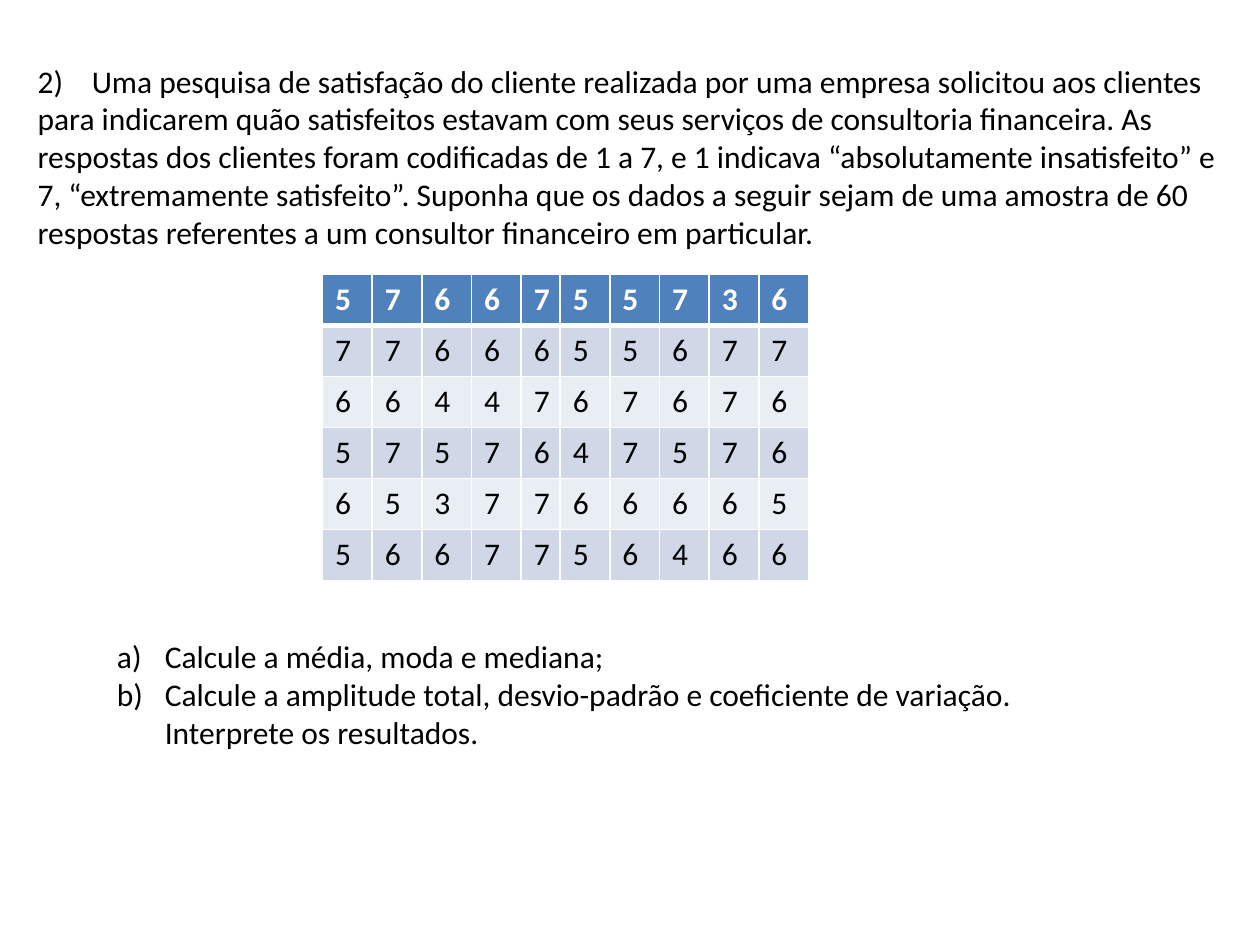
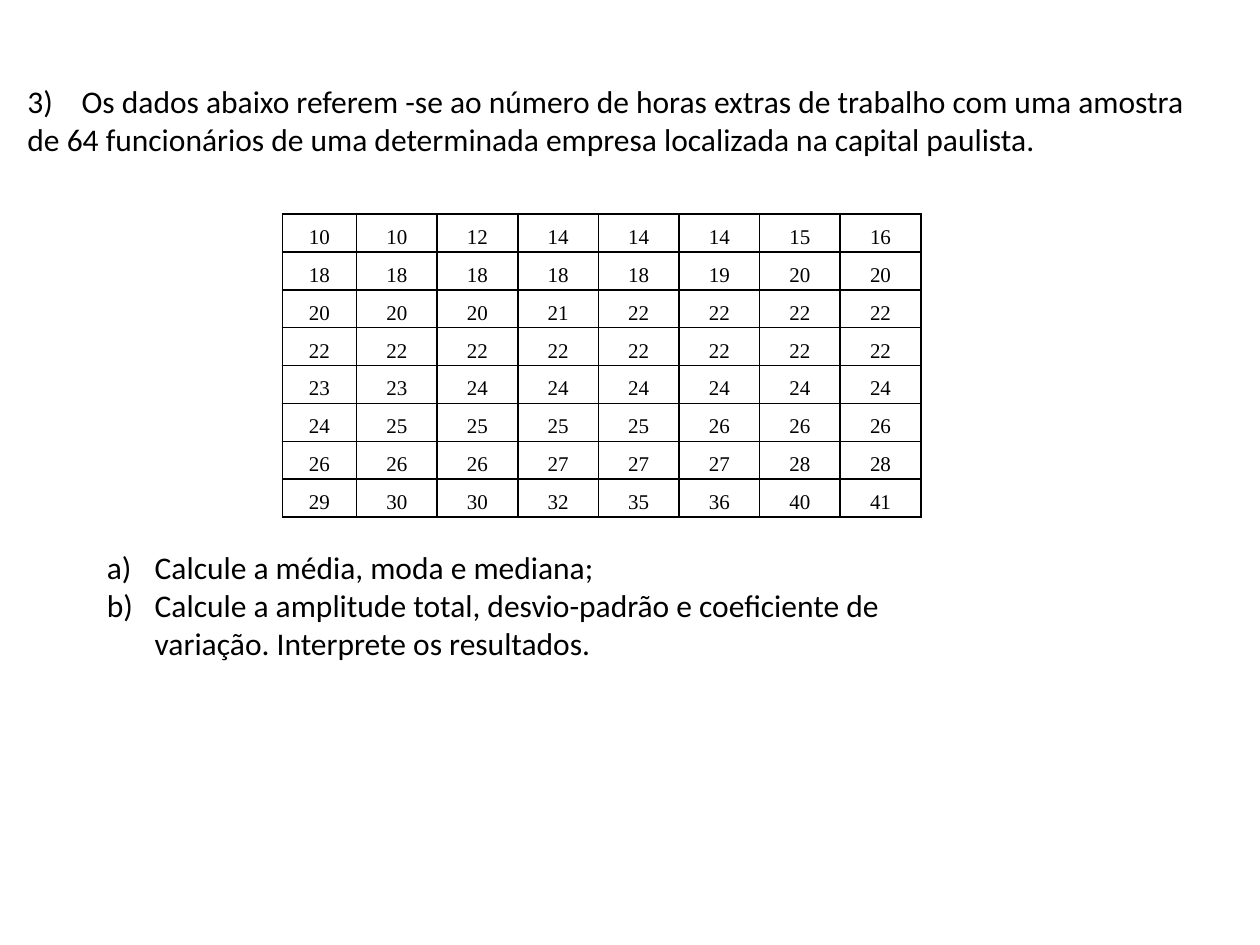
from lxml.etree import SubElement
from pptx import Presentation
from pptx.dml.color import RGBColor
from pptx.enum.text import MSO_AUTO_SIZE, PP_ALIGN
from pptx.oxml import parse_xml
from pptx.oxml.ns import nsdecls, qn
from pptx.util import Inches, Pt

BLACK = RGBColor(0x00, 0x00, 0x00)
WHITE = RGBColor(0xFF, 0xFF, 0xFF)
HEADER_BLUE = RGBColor(0x4F, 0x81, 0xBD)
BAND_DARK = RGBColor(0xD0, 0xD8, 0xE8)
BAND_LIGHT = RGBColor(0xE9, 0xED, 0xF4)
BODY_FONT = "Calibri"
TABLE_FONT = "Times New Roman"

TASKS = [
    "Calcule a média, moda e mediana;",
    "Calcule a amplitude total, desvio-padrão e coeficiente de variação. "
    "Interprete os resultados.",
]

# Each exercise: statement, data table and task list, with their places
EXERCISES = [
    {
        "statement": "2)\tUma pesquisa de satisfação do cliente realizada por uma empresa "
        "solicitou aos clientes para indicarem quão satisfeitos estavam com seus serviços de "
        "consultoria financeira. As respostas dos clientes foram codificadas de 1 a 7, e 1 "
        "indicava “absolutamente insatisfeito” e 7, “extremamente satisfeito”. Suponha que os "
        "dados a seguir sejam de uma amostra de 60 respostas referentes a um consultor "
        "financeiro em particular.",
        "statement_box": (0.2, 0.44, 9.61, 1.62),
        "table_box": (2.56, 2.18, 3.86, 2.43),
        "narrow_column": (4, 0.31),
        "banded": True,
        "data": """5 7 6 6 7 5 5 7 3 6
                   7 7 6 6 6 5 5 6 7 7
                   6 6 4 4 7 6 7 6 7 6
                   5 7 5 7 6 4 7 5 7 6
                   6 5 3 7 7 6 6 6 6 5
                   5 6 6 7 7 5 6 4 6 6""",
        "tasks_box": (0.83, 5.01, 7.56, 1.01),
    },
    {
        "statement": "3)\tOs dados abaixo referem -se ao número de horas extras de trabalho "
        "com uma amostra de 64 funcionários de uma determinada empresa localizada na capital "
        "paulista.",
        "statement_box": (0.12, 0.6, 9.53, 0.71),
        "table_box": (2.24, 1.7, 5.07, 2.4),
        "narrow_column": (0, 0.59),
        "banded": False,
        "data": """10 10 12 14 14 14 15 16
                   18 18 18 18 18 19 20 20
                   20 20 20 21 22 22 22 22
                   22 22 22 22 22 22 22 22
                   23 23 24 24 24 24 24 24
                   24 25 25 25 25 26 26 26
                   26 26 26 27 27 27 28 28
                   29 30 30 32 35 36 40 41""",
        "tasks_box": (0.75, 4.3, 7.17, 1.01),
    },
]


def add_text(slide, box, lines):
    """Add a wrapping text box and return its paragraphs."""
    text_frame = slide.shapes.add_textbox(*map(Inches, box)).text_frame
    text_frame.word_wrap = True
    text_frame.auto_size = MSO_AUTO_SIZE.SHAPE_TO_FIT_TEXT
    text_frame.text = "\n".join(lines)
    for paragraph in text_frame.paragraphs:
        font = paragraph.runs[0].font
        font.name, font.size, font.color.rgb = BODY_FONT, Pt(18), BLACK
    return text_frame.paragraphs


def set_borders(cell, color, top=1, bottom=1):
    """Draw the four cell borders; they must precede the fill."""
    properties = cell._tc.get_or_add_tcPr()
    sides = [("lnL", 1), ("lnR", 1), ("lnT", top), ("lnB", bottom)]
    for position, (side, points) in enumerate(sides):
        properties.insert(position, parse_xml(
            f'<a:{side} {nsdecls("a")} w="{Pt(points)}"><a:solidFill>'
            f'<a:srgbClr val="{color}"/></a:solidFill></a:{side}>'))


presentation = Presentation()
presentation.slide_width = Inches(10)
presentation.slide_height = Inches(7.5)
blank_layout = presentation.slide_layouts[6]

for exercise in EXERCISES:
    slide = presentation.slides.add_slide(blank_layout)

    # Statement, with a tab stop after its number
    statement = add_text(slide, exercise["statement_box"], [exercise["statement"]])[0]
    tab_list = SubElement(statement._p.get_or_add_pPr(), qn("a:tabLst"))
    SubElement(tab_list, qn("a:tab"), pos=str(Inches(0.43)), algn="l")

    # Data table: one narrow column, the others share the remaining width
    rows = [line.split() for line in exercise["data"].splitlines()]
    column_count = len(rows[0])
    table_box = exercise["table_box"]
    table = slide.shapes.add_table(len(rows), column_count, *map(Inches, table_box)).table
    narrow_index, narrow_width = exercise["narrow_column"]
    common_width = (table_box[2] - narrow_width) / (column_count - 1)
    banded = exercise["banded"]
    table.first_row = table.horz_banding = banded
    for index, column in enumerate(table.columns):
        column.width = Inches(narrow_width if index == narrow_index else common_width)

    for row_index, row in enumerate(rows):
        is_header = banded and row_index == 0
        for column_index, value in enumerate(row):
            cell = table.cell(row_index, column_index)
            cell.text = value
            paragraph = cell.text_frame.paragraphs[0]
            font = paragraph.runs[0].font
            font.bold = is_header
            font.color.rgb = WHITE if is_header else BLACK
            if banded:
                font.name, font.size = BODY_FONT, Pt(18)
                cell.fill.solid()
                band = BAND_DARK if row_index % 2 else BAND_LIGHT
                cell.fill.fore_color.rgb = HEADER_BLUE if is_header else band
                set_borders(cell, WHITE, top=3 if row_index == 1 else 1,
                            bottom=3 if is_header else 1)
            else:
                font.name, font.size = TABLE_FONT, Pt(12)
                paragraph.alignment = PP_ALIGN.CENTER
                paragraph.line_spacing = 1.5
                cell.margin_left = cell.margin_right = Inches(0.05)
                cell.margin_top = cell.margin_bottom = 0
                cell.fill.background()
                set_borders(cell, BLACK)

    # Lettered tasks
    for paragraph in add_text(slide, exercise["tasks_box"], TASKS):
        properties = paragraph._p.get_or_add_pPr()
        properties.set("marL", str(Inches(0.38)))
        properties.set("indent", str(-Inches(0.38)))
        SubElement(properties, qn("a:buFont"), typeface="+mj-lt")
        SubElement(properties, qn("a:buAutoNum"), type="alphaLcParenR")

presentation.save("out.pptx")
